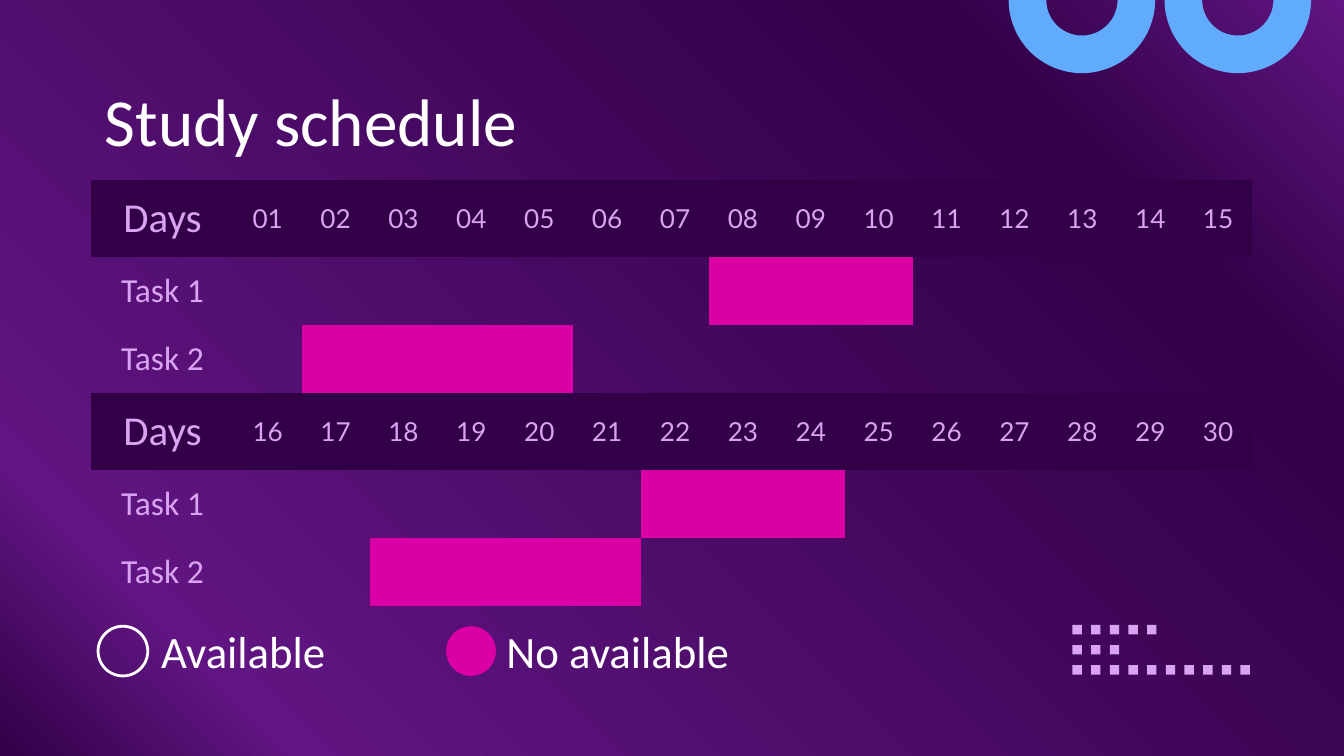
from copy import deepcopy
from math import cos, pi, sin

from pptx import Presentation
from pptx.dml.color import RGBColor
from pptx.enum.shapes import MSO_SHAPE
from pptx.enum.text import MSO_ANCHOR, PP_ALIGN
from pptx.oxml.ns import qn
from pptx.util import Inches, Pt

DARK, PURPLE, LILAC = "310047", "611582", "D9A3F3"
PINK, BLUE, WHITE = "DB00A6", "61ABFC", "FFFFFF"
PLAIN = "{2D5ABB26-0587-4C30-8999-92F81FD0307C}"
STOPS = [(0, DARK), (0.14, PURPLE), (0.8, DARK), (1, PURPLE)]
WEEKS = [
    (1, [("Task 1", 8, 10), ("Task 2", 2, 5)]),
    (16, [("Task 1", 22, 24), ("Task 2", 18, 21)]),
]
DAYS = 15


def rgb(code):
    """Return the colour for a hex string."""
    return RGBColor.from_string(code)


def paint(shape, fill=None, line=None):
    """Set the fill and outline of a shape, without shadow."""
    shape.shadow.inherit = False
    if fill:
        shape.fill.solid()
        shape.fill.fore_color.rgb = rgb(fill)
    else:
        shape.fill.background()
    if line:
        shape.line.color.rgb = rgb(line)
        shape.line.width = Pt(1.5)
    else:
        shape.line.fill.background()


def add_back(slide):
    """Give the slide its diagonal gradient."""
    fill = slide.background.fill
    fill.gradient()
    fill.gradient_angle = 45
    first = next(slide.element.iter(qn("a:gs")))
    for _ in STOPS[2:]:
        first.addnext(deepcopy(first))
    for stop, (place, code) in zip(fill.gradient_stops, STOPS):
        stop.position = place
        stop.color.rgb = rgb(code)


def write(frame, text, size, color, font="Calibri", align=PP_ALIGN.LEFT):
    """Put one styled paragraph in a text frame."""
    frame.text = text
    para = frame.paragraphs[0]
    para.alignment = align
    para.font.size = Pt(size)
    para.font.name = font
    para.font.color.rgb = rgb(color)


def pad(box):
    """Set equal insets on a text frame or cell."""
    box.margin_left = box.margin_right = Inches(0.1)
    box.margin_top = box.margin_bottom = Inches(0.1)


def add_title(slide, text):
    """Place and fill the title."""
    title = slide.shapes.title
    title.left, title.top = Inches(0.68), Inches(0.49)
    title.width, title.height = Inches(8.64), Inches(0.63)
    frame = title.text_frame
    pad(frame)
    frame.vertical_anchor = MSO_ANCHOR.TOP
    write(frame, text, 36, WHITE)


def add_ring(slide, mid, outer=1.09 / 2, inner=0.53 / 2, steps=48):
    """Hang a half ring from the top edge."""
    turns = [pi * i / steps for i in range(steps + 1)]
    arcs = [(outer, turns), (inner, turns[::-1])]
    points = [
        (Inches(mid + r * cos(t)), Inches(r * sin(t))) for r, arc in arcs for t in arc
    ]
    path = slide.shapes.build_freeform(*points[0])
    path.add_line_segments(points[1:])
    paint(path.convert_to_shape(), BLUE)


def set_cell(cell, text="", size=18, fill=None, font="Calibri"):
    """Fill one table cell."""
    pad(cell)
    if fill:
        cell.fill.solid()
        cell.fill.fore_color.rgb = rgb(fill)
    else:
        cell.fill.background()
    if text:
        write(cell.text_frame, text, size, LILAC, font, PP_ALIGN.CENTER)


def add_plan(slide):
    """Build the schedule table."""
    wide, high, name, head = 8.64, 3.16, 1.06, 0.57
    frame = slide.shapes.add_table(
        6, DAYS + 1, Inches(0.68), Inches(1.34), Inches(wide), Inches(high)
    )
    table = frame.table
    table.first_row = table.horz_banding = False
    next(frame._element.iter(qn("a:tableStyleId"))).text = PLAIN
    for i, col in enumerate(table.columns):
        col.width = Inches((wide - name) / DAYS if i else name)
    for i, row in enumerate(table.rows):
        row.height = Inches((high - 2 * head) / 4 if i % 3 else head)
    rows = iter(table.rows)
    for start, tasks in WEEKS:
        days = range(start, start + DAYS)
        first, *rest = next(rows).cells
        set_cell(first, "Days", 22, DARK)
        for cell, day in zip(rest, days):
            set_cell(cell, f"{day:02}", 14, DARK, "Lato")
            cell.vertical_anchor = MSO_ANCHOR.MIDDLE
        for task, begin, end in tasks:
            first, *rest = next(rows).cells
            set_cell(first, task)
            for cell, day in zip(rest, days):
                set_cell(cell, fill=PINK if begin <= day <= end else None)


def add_key(slide, text, left, gap, wide, fill=None, line=None):
    """Add a legend dot and its label."""
    dot = slide.shapes.add_shape(
        MSO_SHAPE.OVAL, Inches(left), Inches(4.66), Inches(0.37), Inches(0.37)
    )
    paint(dot, fill, line)
    box = slide.shapes.add_textbox(
        Inches(left + gap), Inches(4.68), Inches(wide), Inches(0.32)
    )
    frame = box.text_frame
    frame.word_wrap = True
    frame.vertical_anchor = MSO_ANCHOR.MIDDLE
    pad(frame)
    write(frame, text, 24, WHITE)


def add_dots(slide):
    """Add the rows of small squares."""
    group = slide.shapes.add_group_shape()
    side = Inches(0.07)
    for row, count in enumerate([5, 3, 10]):
        for col in range(count):
            left, top = Inches(7.98 + col * 1.25 / 9), Inches(4.65 + row * 0.15)
            square = group.shapes.add_shape(
                MSO_SHAPE.RECTANGLE, left, top, side, side
            )
            paint(square, LILAC)


def main():
    """Build and save the slide."""
    deck = Presentation()
    deck.slide_width, deck.slide_height = Inches(10), Inches(10 * 9 / 16)
    slide = deck.slides.add_slide(deck.slide_layouts[5])
    add_back(slide)
    for mid in (9.21, 8.05):
        add_ring(slide, mid)
    add_title(slide, "Study schedule")
    add_plan(slide)
    add_key(slide, "Available", 0.73, 0.37, 1.91, line=WHITE)
    add_key(slide, "No available", 3.32, 0.35, 2.81, fill=PINK)
    add_dots(slide)
    deck.save("out.pptx")


if __name__ == "__main__":
    main()
